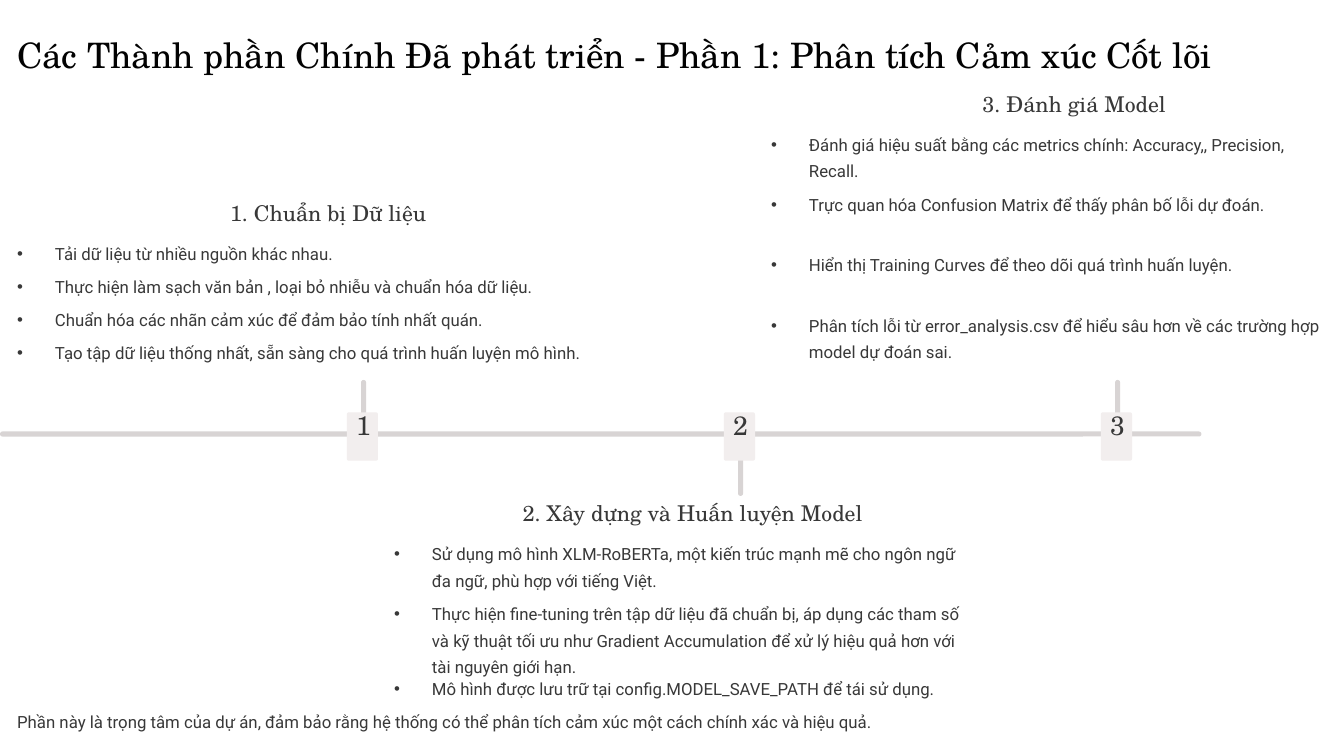
from dataclasses import dataclass

from lxml import etree
from pptx import Presentation
from pptx.dml.color import RGBColor
from pptx.enum.shapes import MSO_SHAPE
from pptx.enum.text import MSO_ANCHOR, MSO_AUTO_SIZE, PP_ALIGN
from pptx.oxml.ns import qn
from pptx.util import Pt

ROUNDED = MSO_SHAPE.ROUNDED_RECTANGLE
TOP = MSO_ANCHOR.TOP
NO_AUTOFIT = MSO_AUTO_SIZE.NONE
LEFT, CENTER = PP_ALIGN.LEFT, PP_ALIGN.CENTER

BLACK = RGBColor(0x02, 0x02, 0x02)
DARK = RGBColor(0x38, 0x38, 0x38)
LINE_GREY = RGBColor(0xD8, 0xD4, 0xD4)
BADGE_GREY = RGBColor(0xF2, 0xEE, 0xEE)
SERIF, SANS = "TeX Gyre Schola", "Roboto"

MARGIN = 12.24
STAGE_PITCH = 269.3
FIRST_BADGE_LEFT = 247.7
LIST_WIDTH = 405
HEADING_WIDTH = 300
BULLET_INDENT = 27


@dataclass(frozen=True)
class Box:
    left: float
    top: float
    width: float
    height: float


@dataclass(frozen=True)
class Style:
    font: str
    size: float
    color: RGBColor
    line: float
    align: PP_ALIGN = LEFT


@dataclass(frozen=True)
class Item:
    text: str
    space_after: float = 0
    line: float = 19


@dataclass(frozen=True)
class Stage:
    heading: str
    heading_center: float
    heading_top: float
    stem_top: float
    list_height: float
    items: tuple[Item, ...]


TITLE = Style(SERIF, 25, BLACK, 39.5)
HEADING = Style(SERIF, 15.5, DARK, 19.5, CENTER)
NUMBER = Style(SERIF, 19, DARK, 19, CENTER)
BODY = Style(SANS, 12, DARK, 19)

STAGES = (
    Stage("1. Chuẩn bị Dữ liệu", 234.4, 141.8, 271.4, 95, (
        Item("Tải dữ liệu từ nhiều nguồn khác nhau.", 4.6),
        Item("Thực hiện làm sạch văn bản , loại bỏ nhiễu và chuẩn hóa dữ liệu.", 4.6),
        Item("Chuẩn hóa các nhãn cảm xúc để đảm bảo tính nhất quán.", 4.6),
        Item("Tạo tập dữ liệu thống nhất, sẵn sàng cho quá trình huấn luyện mô hình."),
    )),
    Stage("2. Xây dựng và Huấn luyện Model", 494.6, 356.4, 308.2, 118, (
        Item("Sử dụng mô hình XLM-RoBERTa, một kiến trúc mạnh mẽ cho ngôn ngữ đa ngữ, "
             "phù hợp với tiếng Việt.", 5),
        Item("Thực hiện fine-tuning trên tập dữ liệu đã chuẩn bị, áp dụng các tham số và "
             "kỹ thuật tối ưu như Gradient Accumulation để xử lý hiệu quả hơn với tài "
             "nguyên giới hạn."),
        Item("Mô hình được lưu trữ tại config.MODEL_SAVE_PATH để tái sử dụng.", line=15.5),
    )),
    Stage("3. Đánh giá Model", 767.2, 64.1, 271.4, 175, (
        Item("Đánh giá hiệu suất bằng các metrics chính: Accuracy,, Precision, Recall.", 5),
        Item("Trực quan hóa Confusion Matrix để thấy phân bố lỗi dự đoán.", 24.1),
        Item("Hiển thị Training Curves để theo dõi quá trình huấn luyện.", 24.1),
        Item("Phân tích lỗi từ error_analysis.csv để hiểu sâu hơn về các trường hợp "
             "model dự đoán sai."),
    )),
)


def place(shape, box: Box) -> None:
    shape.left, shape.top = Pt(box.left), Pt(box.top)
    shape.width, shape.height = Pt(box.width), Pt(box.height)


def set_bullet(paragraph, bulleted: bool) -> None:
    properties = paragraph._p.get_or_add_pPr()
    indent = Pt(BULLET_INDENT) if bulleted else 0
    properties.set("marL", str(indent))
    properties.set("indent", str(-indent))
    if bulleted:
        etree.SubElement(properties, qn("a:buFont")).set("typeface", "Arial")
        etree.SubElement(properties, qn("a:buChar")).set("char", "•")
    else:
        etree.SubElement(properties, qn("a:buNone"))


def write(shape, items: tuple[Item, ...], style: Style, bulleted: bool = False,
          wrap: bool = True) -> None:
    frame = shape.text_frame
    frame.margin_left = frame.margin_right = frame.margin_top = frame.margin_bottom = 0
    frame.auto_size = NO_AUTOFIT
    frame.vertical_anchor = TOP
    frame.word_wrap = wrap
    frame.text = "\n".join(item.text for item in items)
    for paragraph, item in zip(frame.paragraphs, items):
        paragraph.alignment = style.align
        paragraph.line_spacing = Pt(item.line)
        paragraph.space_before = Pt(0)
        paragraph.space_after = Pt(item.space_after)
        set_bullet(paragraph, bulleted)
        font = paragraph.runs[0].font
        font.name, font.size, font.bold = style.font, Pt(style.size), False
        font.color.rgb = style.color


def add_label(slide, text: str, box: Box, style: Style) -> None:
    label = slide.shapes.add_textbox(0, 0, 0, 0)
    place(label, box)
    write(label, (Item(text, line=style.line),), style)


def add_bar(slide, box: Box, color: RGBColor, rounding: float) -> None:
    bar = slide.shapes.add_shape(ROUNDED, 0, 0, 0, 0)
    place(bar, box)
    bar.adjustments[0] = rounding
    bar.shadow.inherit = False
    bar.fill.solid()
    bar.fill.fore_color.rgb = color
    bar.line.fill.background()


def add_stage(slide, index: int, stage: Stage, list_placeholder) -> None:
    left = FIRST_BADGE_LEFT + index * STAGE_PITCH
    # Stem, badge and number
    add_bar(slide, Box(left + 10.2, stage.stem_top, 3.6, 46), LINE_GREY, 0.5)
    add_bar(slide, Box(left, 294.5, 22.3, 34.6), BADGE_GREY, 0.07)
    add_label(slide, str(index + 1), Box(left + 4.3, 295.9, 15.1, 30), NUMBER)
    # Heading and list
    heading_left = stage.heading_center - HEADING_WIDTH / 2
    add_label(slide, stage.heading,
              Box(heading_left, stage.heading_top, HEADING_WIDTH, 25), HEADING)
    place(list_placeholder, Box(MARGIN + index * STAGE_PITCH, stage.heading_top + 27.4,
                                LIST_WIDTH, stage.list_height))
    write(list_placeholder, stage.items, BODY, bulleted=True)


def main() -> None:
    presentation = Presentation()
    presentation.slide_width, presentation.slide_height = Pt(960), Pt(540)
    slide = presentation.slides.add_slide(presentation.slide_layouts.get_by_name("Comparison"))
    title, *lists, closing = slide.placeholders

    # Title
    place(title, Box(MARGIN, 14.4, 920, 57.6))
    write(title, (Item("Các Thành phần Chính Đã phát triển - Phần 1: Phân tích Cảm xúc Cốt lõi",
                       line=TITLE.line),), TITLE, wrap=False)

    # Timeline
    add_bar(slide, Box(0, 308.2, 858.2, 3.6), LINE_GREY, 0.5)
    for index, (stage, list_placeholder) in enumerate(zip(STAGES, lists)):
        add_stage(slide, index, stage, list_placeholder)

    # Closing remark
    place(closing, Box(MARGIN, 504, 858.2, 24.5))
    write(closing, (Item("Phần này là trọng tâm của dự án, đảm bảo rằng hệ thống có thể phân tích "
                         "cảm xúc một cách chính xác và hiệu quả."),), BODY)

    presentation.save("out.pptx")


if __name__ == "__main__":
    main()
